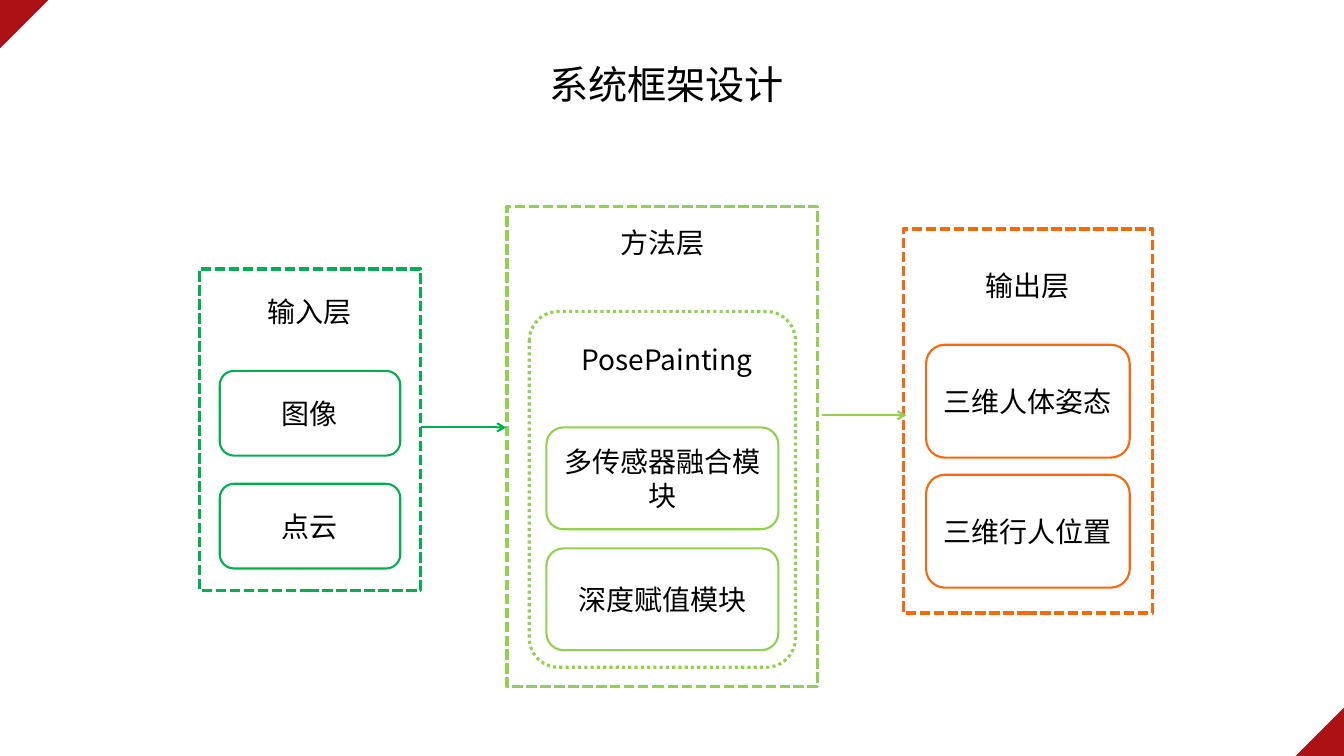
from lxml import etree
from pptx import Presentation
from pptx.dml.color import RGBColor
from pptx.enum.dml import MSO_LINE
from pptx.enum.shapes import MSO_CONNECTOR, MSO_SHAPE
from pptx.enum.text import MSO_ANCHOR, PP_ALIGN
from pptx.oxml.ns import qn
from pptx.util import Inches, Pt

RECT, ROUNDED, CORNER = MSO_SHAPE.RECTANGLE, MSO_SHAPE.ROUNDED_RECTANGLE, MSO_SHAPE.RIGHT_TRIANGLE
DASH, DOT = MSO_LINE.SQUARE_DOT, MSO_LINE.ROUND_DOT
SYS_DASH, SYS_DOT = "sysDash", "sysDot"
STRAIGHT = MSO_CONNECTOR.STRAIGHT
CENTER, MIDDLE = PP_ALIGN.CENTER, MSO_ANCHOR.MIDDLE
WIDTH, HEIGHT = 13.33, 7.5
BODY_FONT = "Noto Sans CJK SC"
GREEN, LIME, ORANGE, RED = "00B050", "92D050", "F9680D", "AC1215"

presentation = Presentation()
presentation.slide_width, presentation.slide_height = Inches(WIDTH), Inches(HEIGHT)
slide = presentation.slides.add_slide(presentation.slide_layouts[6])


def write(holder, text, size=20, font=BODY_FONT):
    frame = holder.text_frame
    frame.word_wrap = True
    paragraph = frame.paragraphs[0]
    paragraph.text = text
    paragraph.alignment = CENTER
    paragraph.font.size = Pt(size)
    paragraph.font.name = font
    paragraph.font.color.rgb = RGBColor.from_string("000000")
    east_asian = etree.SubElement(paragraph.font._element, qn("a:ea"))
    east_asian.set("typeface", BODY_FONT)


def outline(kind, left, top, width, height, color, weight, fill=None, dash=None):
    shape = slide.shapes.add_shape(kind, *map(Inches, (left, top, width, height)))
    shape.shadow.inherit = False
    if fill:
        shape.fill.solid()
        shape.fill.fore_color.rgb = RGBColor.from_string(fill)
    else:
        shape.fill.background()
    shape.line.color.rgb = RGBColor.from_string(color)
    shape.line.width = Pt(weight)
    if dash:
        pattern = etree.SubElement(shape.line._get_or_add_ln(), qn("a:prstDash"))
        pattern.set("val", dash)
    return shape


layers = [
    ("输入层", GREEN, (1.98, 2.67, 2.19, 3.19), 2.87, (1.79, 0.84), 3.68, 1.12, ["图像", "点云"]),
    ("方法层", LIME, (5.03, 2.05, 3.08, 4.76), 2.19, (2.3, 1.01), 4.24, 1.2,
     ["多传感器融合模块", "深度赋值模块"]),
    ("输出层", ORANGE, (8.96, 2.27, 2.47, 3.81), 2.61, (2.02, 1.12), 3.42, 1.29,
     ["三维人体姿态", "三维行人位置"]),
]
labels = [("系统框架设计", 3.77, 0.55, 5.68, 0.57, 28, "Arial"),
          ("PosePainting", 5.39, 3.35, 2.45, 0.44, 20, BODY_FONT)]

for layer, color, panel, label_top, module_size, first_top, pitch, modules in layers:
    center = panel[0] + panel[2] / 2
    outline(RECT, *panel, color, 2.5, dash=SYS_DASH)
    labels.append((layer, center - 0.63, label_top, 1.26, 0.44, 20, BODY_FONT))
    for row, module in enumerate(modules):
        box = outline(ROUNDED, center - module_size[0] / 2, first_top + row * pitch,
                      *module_size, color, 1.5, fill="FFFFFF")
        box.text_frame.vertical_anchor = MIDDLE
        write(box, module)

pose_frame = outline(ROUNDED, 5.25, 3.09, 2.64, 3.53, LIME, 2.25, dash=SYS_DOT)
pose_frame.adjustments[0] = 0.11

for text, left, top, width, height, size, font in labels:
    label = slide.shapes.add_textbox(*map(Inches, (left, top, width, height)))
    write(label, text, size, font)

for start, level, color in [(4.18, 4.24, GREEN), (8.15, 4.12, LIME)]:
    flow = slide.shapes.add_connector(STRAIGHT, *map(Inches, (start, level, start + 0.84, level)))
    flow.line.color.rgb = RGBColor.from_string(color)
    flow.line.width = Pt(1.5)
    etree.SubElement(flow.line._get_or_add_ln(), qn("a:tailEnd")).set("type", "arrow")
    etree.SubElement(flow._element.spPr, qn("a:effectLst"))

corner = 0.47
for left, top, angle in [(0, 0, 90), (WIDTH - corner, HEIGHT - corner, 270)]:
    outline(CORNER, left, top, corner, corner, RED, 1, fill=RED).rotation = angle

presentation.save("out.pptx")
